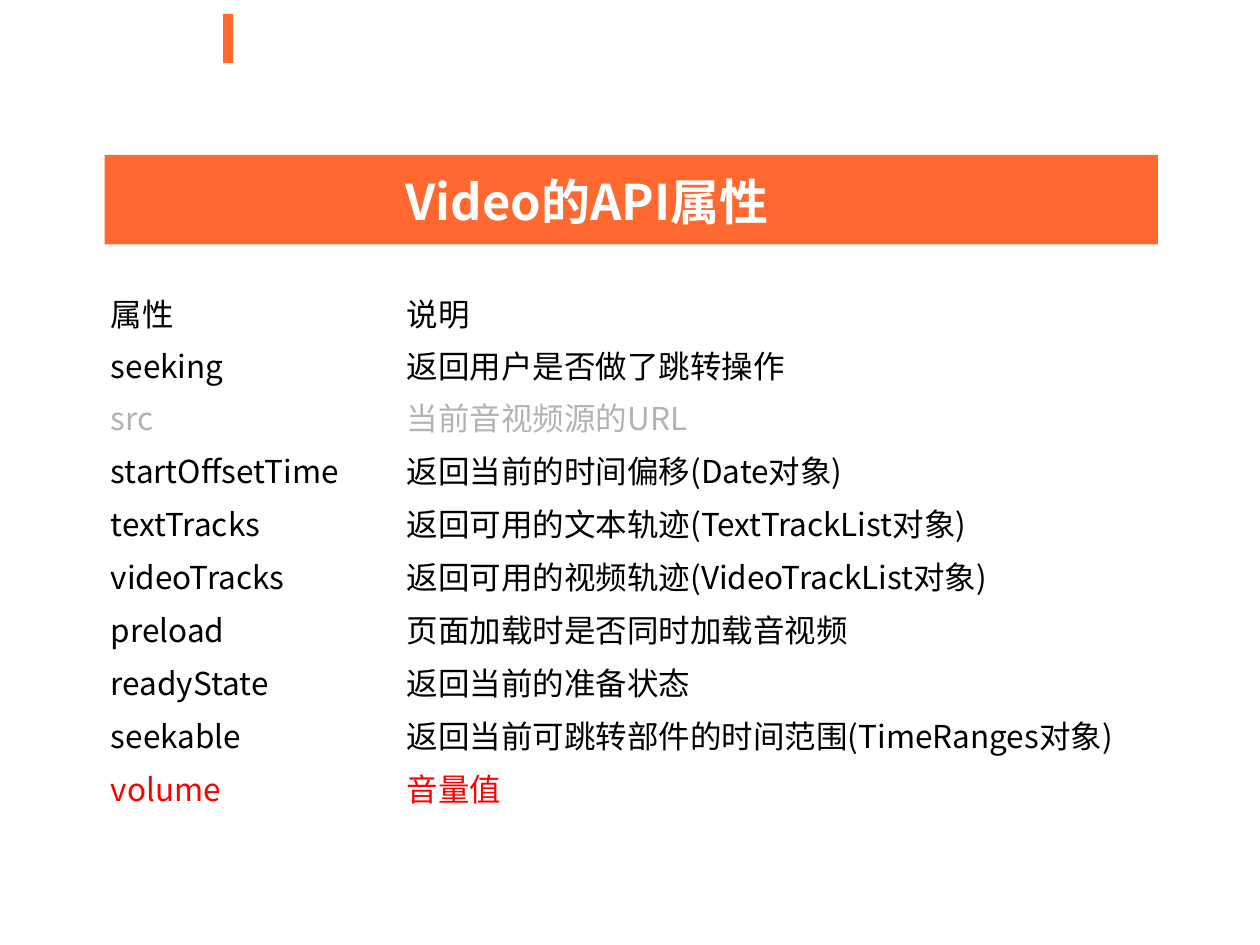
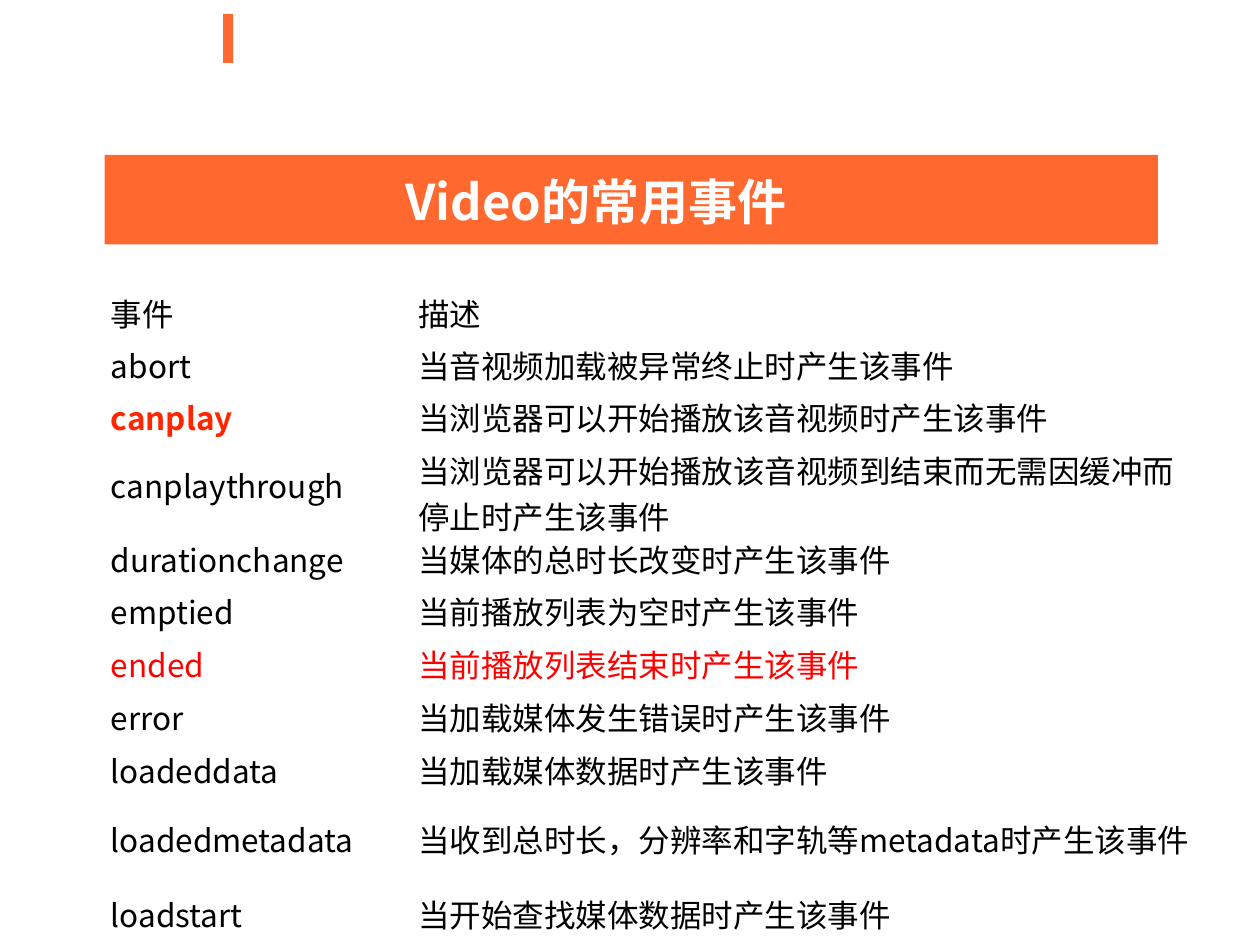
"""Build two slides that list the properties and events of the video element."""
from lxml import etree
from pptx import Presentation
from pptx.dml.color import RGBColor
from pptx.enum.shapes import MSO_SHAPE
from pptx.enum.text import MSO_ANCHOR, MSO_AUTO_SIZE
from pptx.oxml.ns import qn
from pptx.util import Inches, Pt

RECTANGLE = MSO_SHAPE.RECTANGLE
MIDDLE = MSO_ANCHOR.MIDDLE
GROW = MSO_AUTO_SIZE.SHAPE_TO_FIT_TEXT

ORANGE = RGBColor(0xFF, 0x68, 0x2F)
WHITE = RGBColor(0xFF, 0xFF, 0xFF)
BLACK = RGBColor(0x00, 0x00, 0x00)
GREY = RGBColor(0xB3, 0xB3, 0xB3)
RED = RGBColor(0xFF, 0x00, 0x00)
SCARLET = RGBColor(0xFF, 0x26, 0x00)

FONT = "Noto Sans CJK SC"
NO_STYLE_NO_GRID = "{2D5ABB26-0587-4C30-8999-92F81FD0307C}"
INSET = Inches(0.05)
LEFT = 0.83
TABLE_TOP = 2.25
HEADER_HEIGHT = 0.41
ROW_HEIGHT = 0.42

PROPERTIES = [
    ("属性", "说明"),
    ("seeking", "返回用户是否做了跳转操作"),
    ("src", "当前音视频源的URL"),
    ("startOffsetTime", "返回当前的时间偏移(Date对象)"),
    ("textTracks", "返回可用的文本轨迹(TextTrackList对象)"),
    ("videoTracks", "返回可用的视频轨迹(VideoTrackList对象)"),
    ("preload", "页面加载时是否同时加载音视频"),
    ("readyState", "返回当前的准备状态"),
    ("seekable", "返回当前可跳转部件的时间范围(TimeRanges对象)"),
    ("volume", "音量值"),
]
PROPERTY_FORMATS = {"src": [{"color": GREY}] * 2, "volume": [{"color": RED}] * 2}

EVENTS = [
    ("事件", "描述"),
    ("abort", "当音视频加载被异常终止时产生该事件"),
    ("canplay", "当浏览器可以开始播放该音视频时产生该事件"),
    ("canplaythrough", "当浏览器可以开始播放该音视频到结束而无需因缓冲而停止时产生该事件"),
    ("durationchange", "当媒体的总时长改变时产生该事件"),
    ("emptied", "当前播放列表为空时产生该事件"),
    ("ended", "当前播放列表结束时产生该事件"),
    ("error", "当加载媒体发生错误时产生该事件"),
    ("loadeddata", "当加载媒体数据时产生该事件"),
    ("loadedmetadata", "当收到总时长，分辨率和字轨等metadata时产生该事件"),
    ("loadstart", "当开始查找媒体数据时产生该事件"),
]
EVENT_FORMATS = {
    "canplay": [{"color": SCARLET, "bold": True}, {}],
    "ended": [{"color": RED}] * 2,
}
EVENT_HEIGHTS = {"canplaythrough": 0.7, "loadedmetadata": 0.72}


def write_text(text_frame, text, size=18, color=BLACK, bold=False):
    """Write one formatted run, with the font set for Latin and Chinese."""
    run = text_frame.paragraphs[0].add_run()
    run.text = text
    run.font.name = FONT
    run.font.size = Pt(size)
    run.font.bold = bold
    run.font.color.rgb = color
    latin = run.font._element.find(qn("a:latin"))
    east_asian = etree.Element(qn("a:ea"), typeface=FONT)
    latin.addnext(east_asian)


def set_insets(target):
    """Give a cell or text frame the shared margins."""
    target.margin_left = target.margin_right = INSET
    target.margin_top = target.margin_bottom = INSET


class Deck:
    """Hold the presentation, its shared style and the current slide."""

    def __init__(self):
        """Start an empty 10 by 7.5 inch presentation."""
        self.presentation = Presentation()
        self.presentation.slide_width = Inches(10)
        self.presentation.slide_height = Inches(7.5)
        self.slide = None

    def add_slide(self, title):
        """Add a slide with the accent bar and the title banner."""
        layout = self.presentation.slide_layouts[6]
        self.slide = self.presentation.slides.add_slide(layout)
        self.add_bar(self.slide.shapes, 1.77, 0.11, 0.08, 0.39)
        self.add_banner(title)

    def add_bar(self, shapes, left, top, width, height):
        """Add a plain orange rectangle."""
        position = map(Inches, (left, top, width, height))
        shape = shapes.add_shape(RECTANGLE, *position)
        shape.shadow.inherit = False
        shape.fill.solid()
        shape.fill.fore_color.rgb = ORANGE
        shape.line.fill.background()

    def add_banner(self, title):
        """Group the title with the band behind it."""
        group = self.slide.shapes.add_group_shape()
        self.add_bar(group.shapes, LEFT, 1.23, 8.36, 0.71)
        position = map(Inches, (3.17, 1.31, 4.57, 0.66))
        text_frame = group.shapes.add_textbox(*position).text_frame
        text_frame.word_wrap = True
        text_frame.auto_size = GROW
        set_insets(text_frame)
        write_text(text_frame, title, size=28, color=WHITE, bold=True)

    def add_table(self, rows, column_widths, formats, tall_rows):
        """Add a table without fill or grid; formats and tall rows are keyed by name."""
        heights = [HEADER_HEIGHT]
        heights += [tall_rows.get(name, ROW_HEIGHT) for name, _ in rows[1:]]
        position = map(Inches, (LEFT, TABLE_TOP, sum(column_widths), sum(heights)))
        table = self.slide.shapes.add_table(
            len(rows), len(column_widths), *position).table
        table.first_row = table.horz_banding = False
        table._tbl.tblPr.find(qn("a:tableStyleId")).text = NO_STYLE_NO_GRID
        for column, width in zip(table.columns, column_widths):
            column.width = Inches(width)
        for row, height, texts in zip(table.rows, heights, rows):
            row.height = Inches(height)
            cell_formats = formats.get(texts[0], [{}, {}])
            for cell, text, cell_format in zip(row.cells, texts, cell_formats):
                cell.fill.background()
                cell.vertical_anchor = MIDDLE
                set_insets(cell)
                write_text(cell.text_frame, text, **cell_format)


deck = Deck()
deck.add_slide("Video的API属性")
deck.add_table(PROPERTIES, (2.35, 6.03), PROPERTY_FORMATS, {})
deck.add_slide("Video的常用事件")
deck.add_table(EVENTS, (2.44, 6.22), EVENT_FORMATS, EVENT_HEIGHTS)
deck.presentation.save("out.pptx")
